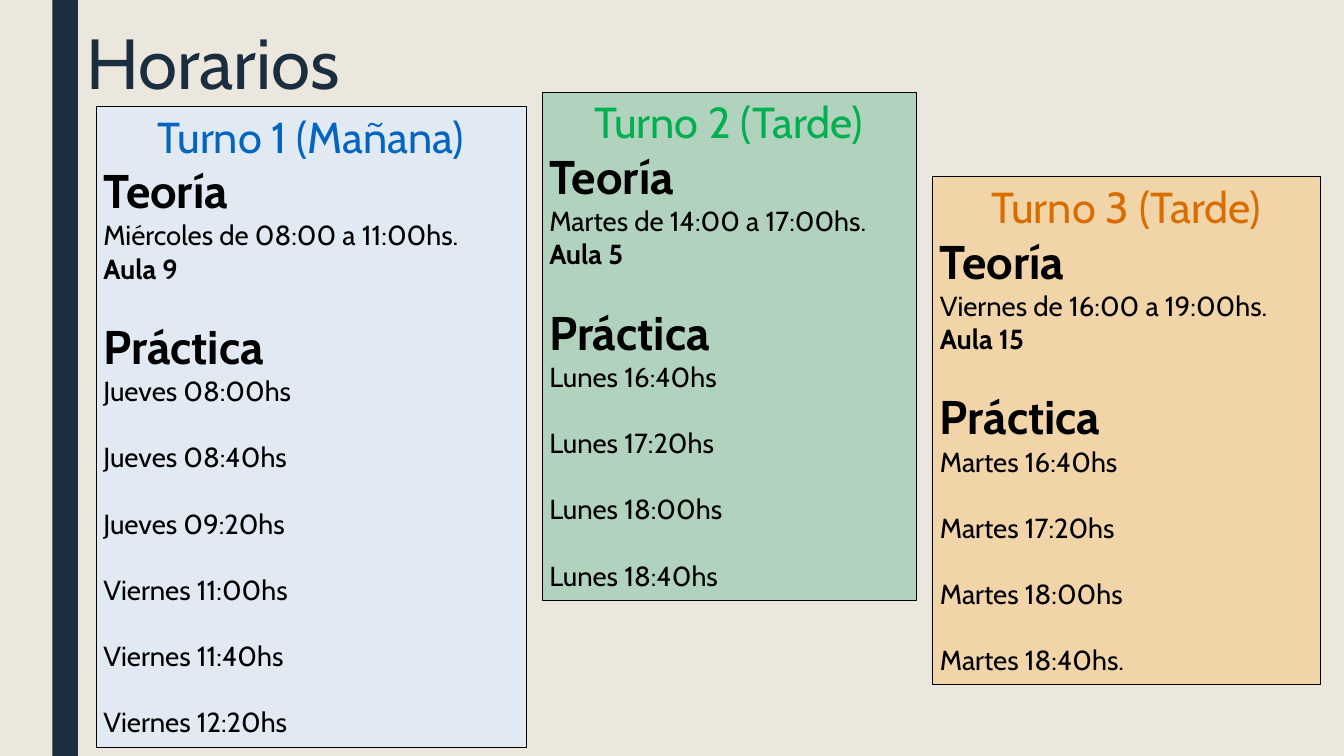
from dataclasses import dataclass

from pptx import Presentation
from pptx.dml.color import RGBColor
from pptx.enum.shapes import MSO_SHAPE
from pptx.enum.text import MSO_ANCHOR, PP_ALIGN
from pptx.util import Inches, Pt

SLIDE_WIDTH, SLIDE_HEIGHT = Inches(18.96), Inches(10.67)
CREAM, NAVY, BLACK = "EBE7DD", "1A2E40", "000000"
BLANK_LINE = Pt(33.6)

HEADING = {"size": Pt(44), "bold": False}
SECTION = {"size": Pt(48), "bold": True}
DETAIL = {"size": Pt(28), "bold": False}
ROOM = {"size": Pt(28), "bold": True}
TITLE = {"size": Pt(72), "bold": False}


@dataclass(frozen=True)
class Area:
    """A rectangle in percent of the slide's width and height."""
    left: float
    top: float
    width: float
    height: float

    def box(self) -> tuple[int, int, int, int]:
        return (int(SLIDE_WIDTH * self.left / 100),
                int(SLIDE_HEIGHT * self.top / 100),
                int(SLIDE_WIDTH * self.width / 100),
                int(SLIDE_HEIGHT * self.height / 100))


@dataclass(frozen=True)
class Shift:
    heading: str
    lecture: str
    room: str
    practices: tuple[str, ...]
    area: Area
    background: str
    accent: str


SHIFTS = (
    Shift("Turno 1 (Mañana)", "Miércoles de 08:00 a 11:00hs.", "Aula 9",
          ("Jueves 08:00hs", "Jueves 08:40hs", "Jueves 09:20hs",
           "Viernes 11:00hs", "Viernes 11:40hs", "Viernes 12:20hs"),
          Area(7.17, 14.06, 31.96, 84.82), "E1EAF3", "0365C0"),
    Shift("Turno 2 (Tarde)", "Martes de 14:00 a 17:00hs.", "Aula 5",
          ("Lunes 16:40hs", "Lunes 17:20hs", "Lunes 18:00hs", "Lunes 18:40hs"),
          Area(40.35, 12.18, 27.8, 67.2), "B1D3BD", "00B050"),
    Shift("Turno 3 (Tarde)", "Viernes de 16:00 a 19:00hs.", "Aula 15",
          ("Martes 16:40hs", "Martes 17:20hs", "Martes 18:00hs", "Martes 18:40hs."),
          Area(69.41, 23.34, 28.85, 67.2), "F1D5A9", "D86D02"),
)


def paint(target, color: str) -> None:
    """Give a fill, or the fill of a line, one solid colour."""
    target.solid()
    target.fore_color.rgb = RGBColor.from_string(color)


def prepare_frame(frame, anchor: MSO_ANCHOR) -> None:
    layout = {"word_wrap": True, "vertical_anchor": anchor,
              "margin_left": Inches(0.1), "margin_right": Inches(0.1),
              "margin_top": Inches(0.05), "margin_bottom": Inches(0.05)}
    for name, value in layout.items():
        setattr(frame, name, value)


def write(paragraph, text: str, style: dict, color: str = BLACK, **spacing) -> None:
    """Fill a paragraph with one styled run; spacing sets paragraph attributes."""
    for name, value in ({"alignment": PP_ALIGN.LEFT} | spacing).items():
        setattr(paragraph, name, value)
    run = paragraph.add_run()
    run.text = text
    for name, value in ({"name": "Cabin"} | style).items():
        setattr(run.font, name, value)
    paint(run.font.fill, color)


def add_panel(slide, area: Area, color: str):
    panel = slide.shapes.add_shape(MSO_SHAPE.RECTANGLE, *area.box())
    panel.shadow.inherit = False
    paint(panel.fill, color)
    panel.line.fill.background()
    return panel


def add_title(slide, text: str) -> None:
    frame = slide.shapes.add_textbox(*Area(5.91, 0, 82.81, 14.34).box()).text_frame
    prepare_frame(frame, MSO_ANCHOR.BOTTOM)
    write(frame.paragraphs[0], text, TITLE, NAVY, line_spacing=0.89)


def add_shift(slide, shift: Shift) -> None:
    panel = add_panel(slide, shift.area, shift.background)
    paint(panel.line.fill, BLACK)
    panel.line.width = Pt(0.75)
    frame = panel.text_frame
    prepare_frame(frame, MSO_ANCHOR.TOP)
    write(frame.paragraphs[0], shift.heading, HEADING, shift.accent,
          alignment=PP_ALIGN.CENTER)
    write(frame.add_paragraph(), "Teoría", SECTION)
    write(frame.add_paragraph(), shift.lecture, DETAIL)
    write(frame.add_paragraph(), shift.room, ROOM)
    write(frame.add_paragraph(), "Práctica", SECTION, space_before=BLANK_LINE)
    for index, practice in enumerate(shift.practices):
        write(frame.add_paragraph(), practice, DETAIL,
              space_before=BLANK_LINE if index else Pt(0))


def main() -> None:
    deck = Presentation()
    deck.slide_width, deck.slide_height = SLIDE_WIDTH, SLIDE_HEIGHT
    slide = deck.slides.add_slide(deck.slide_layouts[6])
    paint(slide.background.fill, CREAM)
    add_panel(slide, Area(3.9, 0, 1.9, 100), NAVY)
    add_title(slide, "Horarios")
    for shift in SHIFTS:
        add_shift(slide, shift)
    deck.save("out.pptx")


if __name__ == "__main__":
    main()
